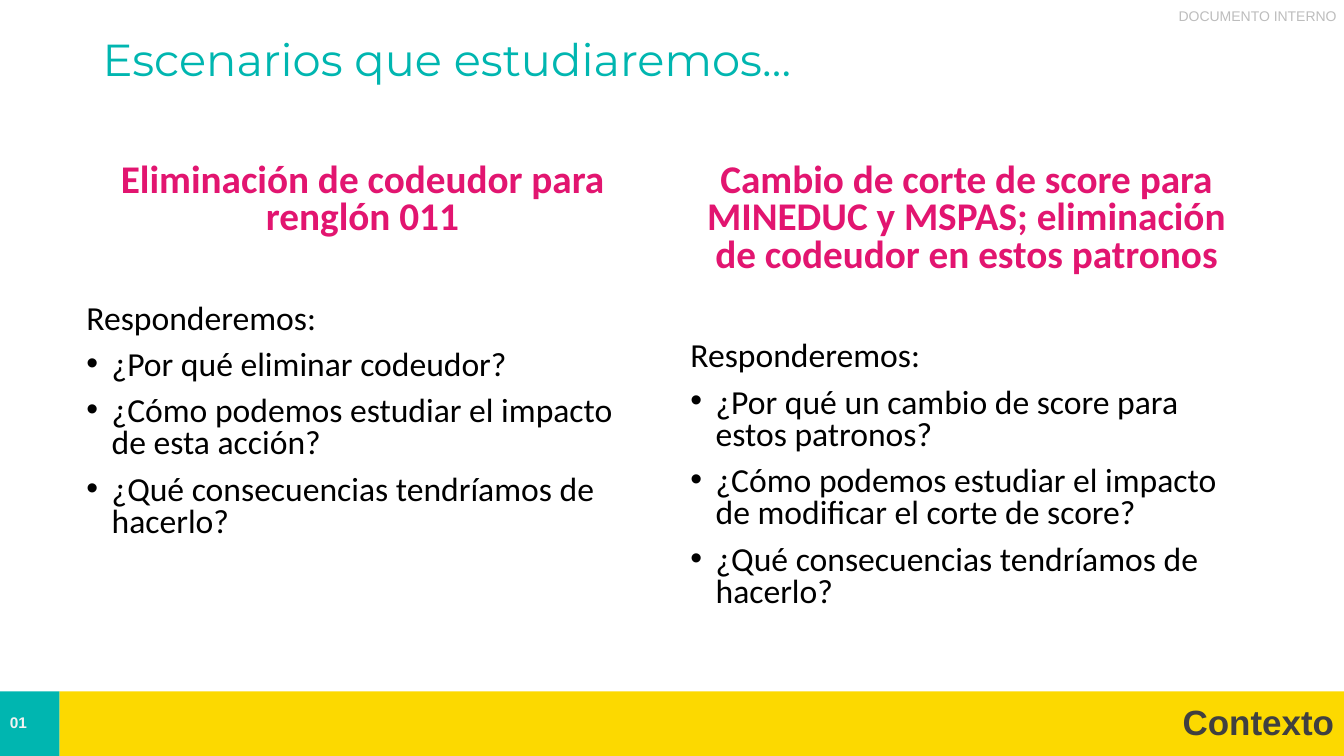
from dataclasses import dataclass

from lxml import etree
from pptx import Presentation, util as u
from pptx.dml.color import RGBColor
from pptx.enum import shapes, text
from pptx.oxml import ns


@dataclass(frozen=True)
class Theme:
    """Colours, fonts and type sizes of the slide."""
    teal: str = "00B6B0"
    yellow: str = "FCD900"
    pink: str = "E21570"
    black: str = "000000"
    dark: str = "404040"
    light: str = "F2F2F2"
    grey: str = "BDBDBD"
    title_font: str = "Montserrat"
    body_font: str = "Calibri"
    label_font: str = "Arial"
    title_size: float = 32
    heading_size: float = 28
    body_size: float = 24
    section_size: float = 25
    number_size: float = 11
    label_size: float = 10


THEME = Theme()
ALIGN = text.PP_ALIGN
MARGINS = (0.1, 0.05, 0.1, 0.05)
SCENARIOS = [
    ("Eliminación de codeudor para renglón 011",
     ["¿Por qué eliminar codeudor?",
      "¿Cómo podemos estudiar el impacto de esta acción?",
      "¿Qué consecuencias tendríamos de hacerlo?"]),
    ("Cambio de corte de score para MINEDUC y MSPAS; eliminación de codeudor en estos patronos",
     ["¿Por qué un cambio de score para estos patronos?",
      "¿Cómo podemos estudiar el impacto de modificar el corte de score?",
      "¿Qué consecuencias tendríamos de hacerlo?"]),
]


def add_span(para, words, font, size, color, bold=False):
    """Add one formatted run to a paragraph."""
    span = para.add_run()
    span.text = words
    span.font.name = font
    span.font.size = u.Pt(size)
    span.font.bold = bold
    span.font.color.rgb = RGBColor.from_string(color)


def format_para(para, align=ALIGN.LEFT, line=1.0, before=0):
    """Set the alignment and spacing of a paragraph."""
    para.alignment = align
    para.line_spacing = line
    para.space_before = u.Pt(before)


def add_bullet(para, indent=0.25):
    """Give a paragraph a hanging round bullet."""
    props = para._p.get_or_add_pPr()
    props.set("marL", str(u.Inches(indent)))
    props.set("indent", str(-u.Inches(indent)))
    etree.SubElement(props, ns.qn("a:buFont"), typeface="Arial")
    etree.SubElement(props, ns.qn("a:buChar"), char="•")


def add_text_box(page, box, anchor=text.MSO_ANCHOR.TOP, margins=MARGINS, wrap=True):
    """Add an empty text box and return its frame."""
    frame = page.shapes.add_textbox(*map(u.Inches, box)).text_frame
    frame.word_wrap = wrap
    frame.vertical_anchor = anchor
    (frame.margin_left, frame.margin_top,
     frame.margin_right, frame.margin_bottom) = map(u.Inches, margins)
    return frame


def add_label(page, box):
    """Place the confidentiality label."""
    para = add_text_box(page, box, margins=(0, 0, 0, 0), wrap=False).paragraphs[0]
    format_para(para)
    add_span(para, "DOCUMENTO INTERNO", THEME.label_font, THEME.label_size, THEME.grey)


def add_title(page, box):
    """Place the slide title."""
    para = add_text_box(page, box, text.MSO_ANCHOR.MIDDLE).paragraphs[0]
    format_para(para, line=0.9)
    add_span(para, "Escenarios que estudiaremos…",
             THEME.title_font, THEME.title_size, THEME.teal)


def add_scenario(page, box, heading, questions):
    """Place one scenario with its heading and questions."""
    frame = add_text_box(page, box)
    para = frame.paragraphs[0]
    format_para(para, ALIGN.CENTER, 0.8, 10)
    add_span(para, heading, THEME.body_font, THEME.heading_size, THEME.pink, True)
    for index, words in enumerate(["Responderemos:", *questions]):
        para = frame.add_paragraph()
        format_para(para, line=0.8, before=10 if index else 47)
        if index:
            add_bullet(para)
        add_span(para, words, THEME.body_font, THEME.body_size, THEME.black)


def add_band(page, box, fill, words, size, color, align):
    """Place one filled block of the footer with its text."""
    band = page.shapes.add_shape(shapes.MSO_SHAPE.RECTANGLE, *map(u.Inches, box))
    band.shadow.inherit = False
    band.fill.solid()
    band.fill.fore_color.rgb = RGBColor.from_string(fill)
    band.line.fill.background()
    band.text_frame.vertical_anchor = text.MSO_ANCHOR.MIDDLE
    para = band.text_frame.paragraphs[0]
    format_para(para, align, 0.9)
    add_span(para, words, THEME.label_font, size, color, True)


def add_footer(page, box, number_width=0.59):
    """Place the section bar and the slide number."""
    left, top, width, height = box
    add_band(page, (left + number_width, top, width - number_width, height),
             THEME.yellow, "Contexto", THEME.section_size, THEME.dark, ALIGN.RIGHT)
    add_band(page, (left, top, number_width, height),
             THEME.teal, "01", THEME.number_size, THEME.light, ALIGN.LEFT)


def add_scenarios(page, box, gap=0.32):
    """Place the scenarios in equal columns."""
    left, top, width, height = box
    column = (width - gap * (len(SCENARIOS) - 1)) / len(SCENARIOS)
    for index, (heading, questions) in enumerate(SCENARIOS):
        place = (left + index * (column + gap), top, column, height)
        add_scenario(page, place, heading, questions)


def main():
    """Build and save the slide."""
    deck = Presentation()
    deck.slide_width, deck.slide_height = u.Inches(13.33), u.Inches(7.5)
    page = deck.slides.add_slide(deck.slide_layouts[6])
    add_label(page, (11.69, 0.07, 1.61, 0.17))
    add_title(page, (0.92, 0.19, 11.5, 0.85))
    add_scenarios(page, (0.76, 1.57, 11.66, 4.76))
    add_footer(page, (0, 6.86, 13.33, 0.64))
    deck.save("out.pptx")


if __name__ == "__main__":
    main()
